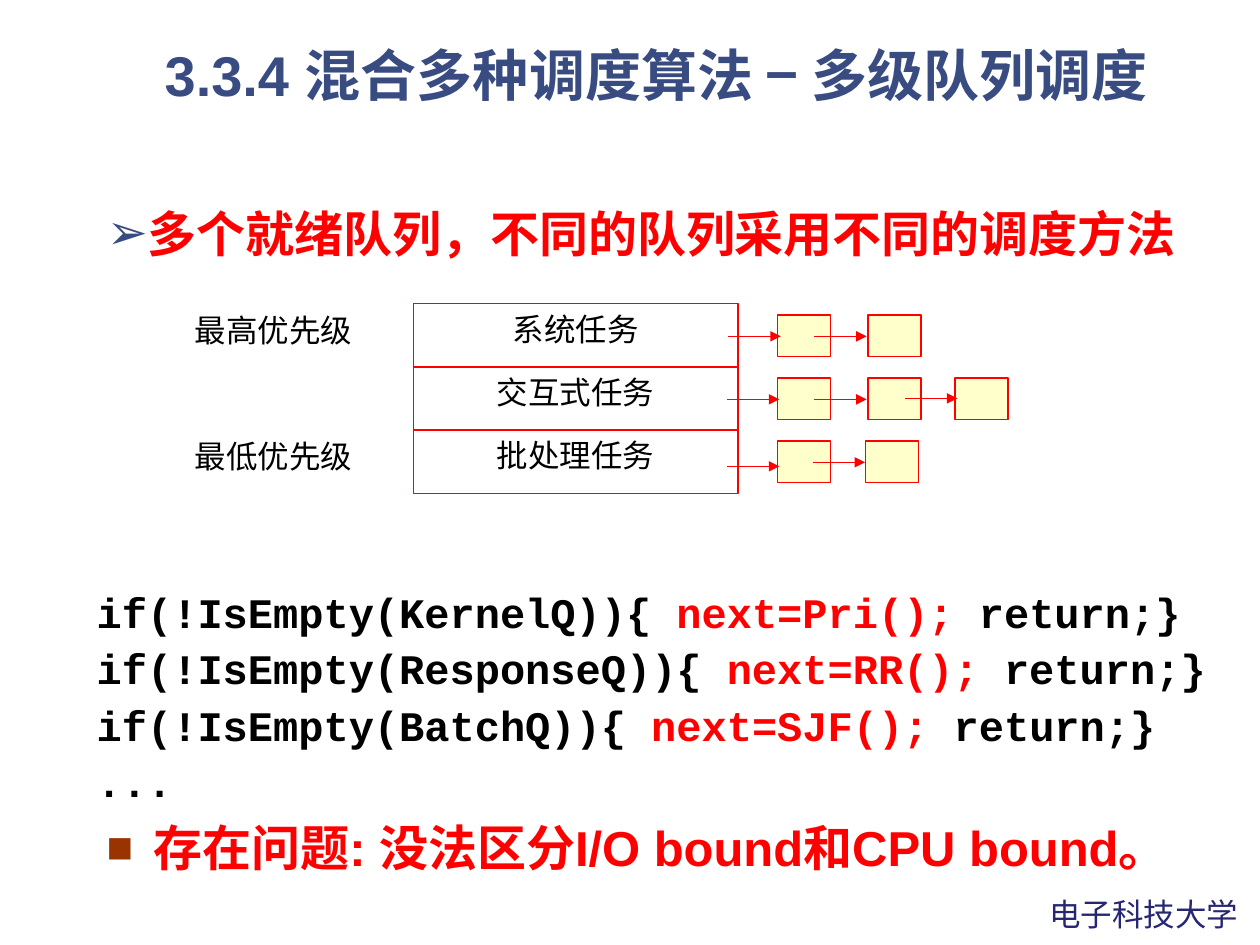
"""Build the multilevel queue scheduling slide."""
from lxml.etree import SubElement
from pptx import Presentation
from pptx.dml.color import RGBColor
from pptx.enum.shapes import MSO_CONNECTOR as Connector, MSO_SHAPE as Preset
from pptx.enum.text import MSO_ANCHOR as Anchor, MSO_AUTO_SIZE as AutoSize, PP_ALIGN as Align
from pptx.oxml.ns import qn
from pptx.util import Cm, Pt

RED, BLACK, NAVY, CREAM = "FF0000", "000000", "384C81", "FFFFCC"


def color(value):
    """Turn a hex string into a colour."""
    return RGBColor.from_string(value)


def write(shape, lines, font, paragraph_format=None, bullet=None, wrap=True):
    """Write lines of (text, colour) runs into a shape."""
    frame = shape.text_frame
    frame.auto_size, frame.word_wrap, frame.vertical_anchor = AutoSize.NONE, wrap, Anchor.TOP
    for index, line in enumerate(lines):
        paragraph = frame.add_paragraph() if index else frame.paragraphs[0]
        for name, value in (paragraph_format or {}).items():
            setattr(paragraph, name, value)
        if index == 0:
            paragraph.space_before = Pt(0)
        if bullet:
            properties = paragraph._p.get_or_add_pPr()
            properties.set("marL", str(bullet["indent"]))
            properties.set("indent", str(-bullet["indent"]))
            if "character" in bullet:
                bullet_color = SubElement(properties, qn("a:buClr"))
                SubElement(bullet_color, qn("a:srgbClr"), val=bullet["color"])
                SubElement(properties, qn("a:buSzPct"), val=bullet["size"])
                SubElement(properties, qn("a:buFont"), typeface="Arial")
                SubElement(properties, qn("a:buChar"), char=bullet["character"])
        for text, run_color in line:
            run = paragraph.add_run()
            run.text = text
            run.font.color.rgb = color(run_color)
            for name, value in font.items():
                setattr(run.font, name, value)


presentation = Presentation()
presentation.slide_width, presentation.slide_height = Cm(25.4), Cm(19.05)
slide = presentation.slides.add_slide(presentation.slide_layouts[1])
shapes = slide.shapes

title, body = slide.placeholders
placements = [
    (title, (1.07, 0.84, 24.33, 1.88)),
    (body, (1.9, 3.61, 23.5, 2.41)),
]
for shape, lengths in placements:
    shape.left, shape.top, shape.width, shape.height = map(Cm, lengths)

label_font = {"name": "Arial", "size": Pt(18), "bold": False}
point_font = {"name": "Arial", "size": Pt(28), "bold": True}
code_font = {"name": "Courier New", "size": Pt(24), "bold": True}

write(title, [[("3.3.4 混合多种调度算法 − 多级队列调度", NAVY)]],
      {"name": "Arial", "size": Pt(32), "bold": True},
      {"alignment": Align.CENTER, "line_spacing": 0.9})
write(body, [[("多个就绪队列，不同的队列采用不同的调度方法", RED)]], point_font,
      {"line_spacing": 1.3},
      {"indent": Cm(0.64), "character": "➢", "color": NAVY, "size": "100000"})

row_pitch = 1.27
queues = [
    ("系统任务", "最高优先级", [15.67, 17.5], [(14.68, 6.78), (16.41, 6.78)]),
    ("交互式任务", None, [15.67, 17.5, 19.25], [(14.65, 8.05), (16.41, 8.05), (18.24, 8.03)]),
    ("批处理任务", "最低优先级", [15.67, 17.45], [(14.65, 9.4), (16.38, 9.32)]),
]
for row, (task, priority, node_lefts, arrow_starts) in enumerate(queues):
    offset = row * row_pitch
    queue = shapes.add_shape(Preset.RECTANGLE, Cm(8.33), Cm(6.12 + offset), Cm(6.55), Cm(1.29))
    queue.fill.background()
    write(queue, [[(task, BLACK)]], label_font, {"alignment": Align.CENTER})
    boxes = [queue]
    for left in node_lefts:
        node = shapes.add_shape(Preset.RECTANGLE, Cm(left), Cm(6.35 + offset), Cm(1.07), Cm(0.84))
        node.fill.solid()
        node.fill.fore_color.rgb = color(CREAM)
        boxes.append(node)
    for box in boxes:
        box.shadow.inherit = False
        box.line.color.rgb = color(RED)
        box.line.width = Pt(0.75)
    for left, top in arrow_starts:
        arrow = shapes.add_connector(Connector.STRAIGHT, Cm(left), Cm(top), Cm(left + 1.06), Cm(top))
        arrow.line.color.rgb = color(RED)
        arrow.line.width = Pt(0.75)
        SubElement(arrow.line._get_or_add_ln(), qn("a:tailEnd"), type="triangle")
        SubElement(arrow._element.spPr, qn("a:effectLst"))
    if priority:
        label = shapes.add_textbox(Cm(3.68), Cm(6.15 + offset), Cm(4.6), Cm(1.27))
        write(label, [[(priority, BLACK)]], label_font)

code = shapes.add_textbox(Cm(1.7), Cm(11.81), Cm(23.7), Cm(4.27))
calls = [("KernelQ", "Pri"), ("ResponseQ", "RR"), ("BatchQ", "SJF")]
code_lines = [
    [(f"if(!IsEmpty({queue_name})){{ ", BLACK), (f"next={method}();", RED), (" return;}", BLACK)]
    for queue_name, method in calls
]
write(code, code_lines + [[("...", BLACK)]], code_font,
      {"line_spacing": 0.9, "space_before": Pt(6.4)}, {"indent": Cm(0.95)})

problem = shapes.add_textbox(Cm(1.9), Cm(16), Cm(23.5), Cm(2.41))
write(problem, [[("存在问题: 没法区分I/O bound和CPU bound。", RED)]], point_font,
      {"line_spacing": 1.3},
      {"indent": Cm(0.95), "character": "■", "color": "993300", "size": "90000"})

school = shapes.add_textbox(Cm(20.9), Cm(17.91), Cm(4.4), Cm(1.02))
write(school, [[("电子科技大学", "262673")]], label_font, wrap=False)

presentation.save("out.pptx")
